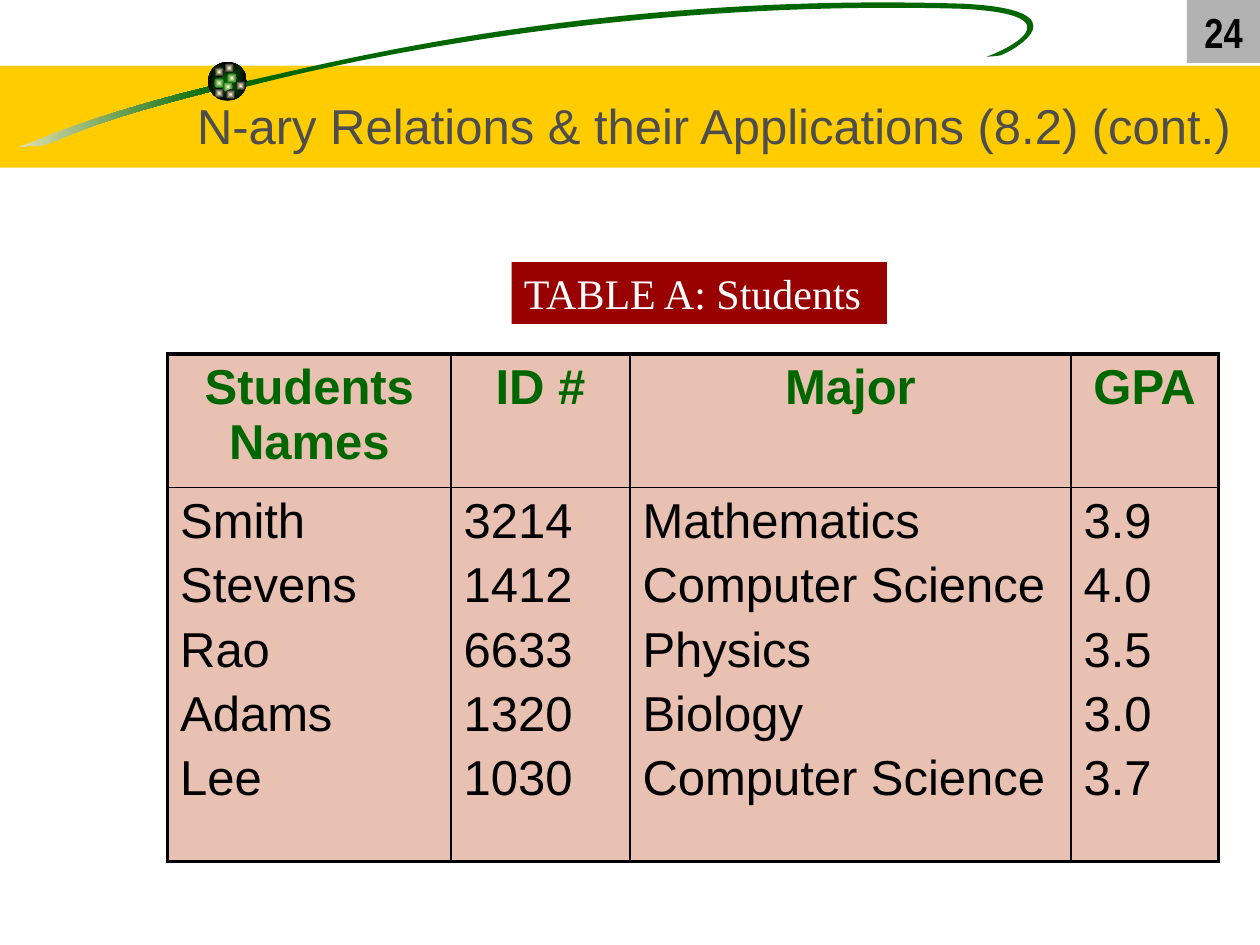
from math import cos, radians, sin

from lxml import etree
from pptx import Presentation
from pptx.dml.color import RGBColor as RGB
from pptx.enum.shapes import MSO_SHAPE as SHAPE
from pptx.enum.text import MSO_ANCHOR as ANCHOR, PP_ALIGN as ALIGN
from pptx.oxml import parse_xml
from pptx.oxml.ns import nsdecls, qn
from pptx.util import Inches, Pt

COLORS = {
    "band": "FFCC00", "green": "006600", "sand": "F5EBC1", "cream": "FFFFCC",
    "black": "000000", "gray": "B2B2B2", "title": "4D4D4D", "cell": "E9C1B3",
    "label": "990000", "white": "FFFFFF",
}
TILT = 351.5  # rotation of both swooshes, in degrees


def rgb(name):
    return RGB.from_string(COLORS[name])


class SlideBuilder:
    font, size = "Arial", 28

    def __init__(self, slide):
        self.slide = slide

    def style(self, p, color, size=size, font=font, bold=False, align=ALIGN.LEFT):
        p.alignment = align
        for r in p.runs:
            r.font.name, r.font.size, r.font.bold = font, Pt(size), bold
            r.font.color.rgb = rgb(color)

    def paint(self, sp, fill, fill_to=None, radial=False):
        sp.shadow.inherit = False
        sp.line.fill.background()
        if not fill_to:
            sp.fill.solid()
            sp.fill.fore_color.rgb = rgb(fill)
            return
        sp.fill.gradient()
        sp.fill.gradient_angle = 0
        for stop, name, place in zip(sp.fill.gradient_stops, (fill, fill_to), (0, 1)):
            stop.color.rgb = rgb(name)
            stop.position = place
        if radial:
            grad = sp._element.spPr.find(qn("a:gradFill"))
            grad.remove(grad.find(qn("a:lin")))
            shade = etree.SubElement(grad, qn("a:path"), {"path": "shape"})
            etree.SubElement(shade, qn("a:fillToRect"), dict.fromkeys("ltrb", "50000"))

    def shape(self, kind, x, y, w, h, fill, fill_to=None):
        sp = self.slide.shapes.add_shape(kind, *map(Inches, (x, y, w, h)))
        self.paint(sp, fill, fill_to, radial=True)
        return sp

    def swoosh(self, x, y, w, h, start, curves, fill, fill_to=None):
        """Tilted outline of cubic curves; points are places on the slide."""
        turn = radians(360 - TILT)

        def local(px, py):
            dx, dy = px - x - w / 2, py - y - h / 2
            return (Inches(dx * cos(turn) - dy * sin(turn) + w / 2),
                    Inches(dx * sin(turn) + dy * cos(turn) + h / 2))

        builder = self.slide.shapes.build_freeform(*local(*start))
        builder.add_line_segments([local(*curve[4:]) for curve in curves], close=True)
        sp = builder.convert_to_shape()
        sp.left, sp.top, sp.width, sp.height = map(Inches, (x, y, w, h))
        sp.rotation = TILT

        # Turn the straight segments into curves
        outline = next(sp._element.iter(qn("a:path")))
        outline.set("w", str(Inches(w)))
        outline.set("h", str(Inches(h)))
        for node in list(outline):
            outline.remove(node)
        segments = [("moveTo", start), *(("cubicBezTo", c) for c in curves)]
        for tag, values in segments:
            node = etree.SubElement(outline, qn(f"a:{tag}"))
            for point in zip(values[::2], values[1::2]):
                px, py = local(*point)
                etree.SubElement(node, qn("a:pt"), {"x": str(px), "y": str(py)})
        etree.SubElement(outline, qn("a:close"))
        self.paint(sp, fill, fill_to)

    def text(self, sp, text, color, **style):
        tf = sp.text_frame
        tf.text = text
        tf.word_wrap = True
        tf.vertical_anchor = ANCHOR.MIDDLE
        self.style(tf.paragraphs[0], color, **style)

    def title(self, text, x, y, w, h):
        box = self.slide.shapes.add_textbox(*map(Inches, (x, y, w, h)))
        self.text(box, text, "title", align=ALIGN.CENTER)

    def border(self, cell, side, width):
        cell._tc.get_or_add_tcPr().append(parse_xml(
            f'<a:ln{side} {nsdecls("a")} w="{Pt(width)}"><a:solidFill>'
            f'<a:srgbClr val="{COLORS["black"]}"/></a:solidFill></a:ln{side}>'))

    def table(self, x, y, widths, heights, rows):
        frame = self.slide.shapes.add_table(
            len(rows), len(widths),
            *map(Inches, (x, y, sum(widths), sum(heights))))
        table = frame.table
        table.first_row = table.horz_banding = False
        for column, width in zip(table.columns, widths):
            column.width = Inches(width)
        last_row, last_col = len(rows) - 1, len(widths) - 1
        for i, (height, row) in enumerate(zip(heights, rows)):
            table.rows[i].height = Inches(height)
            header = i == 0
            for j, lines in enumerate(row):
                cell = table.cell(i, j)
                cell.text_frame.text = "\n".join(lines)
                for p in cell.text_frame.paragraphs:
                    p.space_before = Pt(5.6)
                    self.style(p, "green" if header else "black", bold=header,
                               align=ALIGN.CENTER if header else ALIGN.LEFT)
                outer = {"L": j == 0, "R": j == last_col,
                         "T": header, "B": i == last_row}
                for side, is_outer in outer.items():
                    self.border(cell, side, 2.25 if is_outer else 1)
                cell.fill.solid()
                cell.fill.fore_color.rgb = rgb("cell")


def main():
    prs = Presentation()
    prs.slide_width, prs.slide_height = Inches(10), Inches(7.5)
    s = SlideBuilder(prs.slides.add_slide(prs.slide_layouts[6]))

    # Title band with the swoosh
    s.shape(SHAPE.RECTANGLE, 0, 0.52, 10, 0.81, "band")
    s.swoosh(0, 0.81, 1.72, 0.27, (1.69, 0.68), [
        (0.87, 0.88, 0.48, 1.04, 0.26, 1.13),
        (0.03, 1.21, 0.27, 1.13, 0.31, 1.16),
        (0.55, 1.1, 0.56, 1.01, 1.7, 0.72),
        (1.7, 0.72, 1.69, 0.68, 1.69, 0.68),
    ], "sand", "green")
    s.swoosh(1.91, -0.17, 6.7, 1, (1.92, 0.65), [
        (2.33, 0.58, 4.58, -0.07, 7.65, 0.03),
        (8.61, 0.08, 8.05, 0.4, 7.94, 0.44),
        (7.94, 0.44, 7.87, 0.45, 7.83, 0.45),
        (7.93, 0.42, 8.61, 0.12, 7.64, 0.07),
        (5.16, 0, 3.03, 0.41, 1.95, 0.69),
        (1.95, 0.69, 1.92, 0.65, 1.92, 0.65),
    ], "green")

    # Ball with light spots
    s.shape(SHAPE.OVAL, 1.65, 0.49, 0.31, 0.31, "green", "black")
    spots = [(1.8, 0.58, "green"), (1.7, 0.53, "black"), (1.7, 0.62, "green"),
             (1.77, 0.65, "green"), (1.87, 0.64, "black"), (1.79, 0.71, "black"),
             (1.7, 0.7, "black"), (1.78, 0.5, "black")]
    for x, y, rim in spots:
        s.shape(SHAPE.OVAL, x, y, 0.08, 0.08, "cream", rim)

    # Slide number and title
    number = s.shape(SHAPE.RECTANGLE, 9.42, 0, 0.58, 0.5, "gray")
    s.text(number, "24", "black", size=24, font="Arial Narrow", bold=True,
           align=ALIGN.CENTER)
    s.title("N-ary Relations & their Applications (8.2) (cont.)",
            1.33, 0.58, 8.67, 0.83)

    # Student table: one header row, one row holding all records
    header = ["Students Names", "ID #", "Major", "GPA"]
    students = [
        ("Smith", "3214", "Mathematics", "3.9"),
        ("Stevens", "1412", "Computer Science", "4.0"),
        ("Rao", "6633", "Physics", "3.5"),
        ("Adams", "1320", "Biology", "3.0"),
        ("Lee", "1030", "Computer Science", "3.7"),
    ]
    s.table(1.33, 2.81, [2.25, 1.42, 3.5, 1.17], [1.06, 2.97],
            [[[name] for name in header], list(zip(*students))])

    # Table label
    label = s.shape(SHAPE.RECTANGLE, 4.06, 2.08, 2.98, 0.49, "label")
    s.text(label, "TABLE A: Students", "white", size=24, font="Times New Roman")

    prs.save("out.pptx")


if __name__ == "__main__":
    main()
